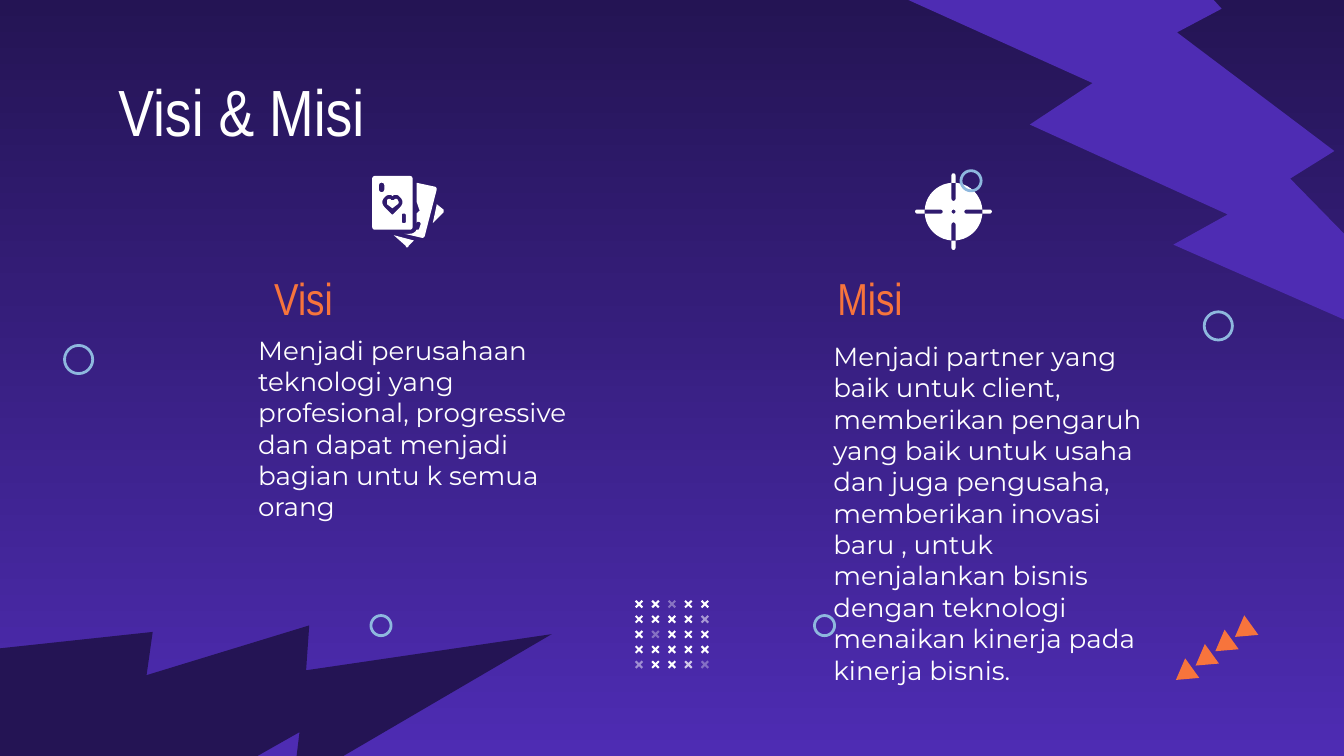
from math import cos, radians, sin

from lxml import etree
from pptx import Presentation
from pptx.dml.color import RGBColor
from pptx.enum.shapes import MSO_SHAPE
from pptx.enum.text import MSO_ANCHOR, MSO_AUTO_SIZE, PP_ALIGN
from pptx.oxml.ns import qn
from pptx.util import Inches, Pt

BOLT = MSO_SHAPE.LIGHTNING_BOLT
TRIANGLE = MSO_SHAPE.ISOSCELES_TRIANGLE
OVAL = MSO_SHAPE.OVAL
CROSS = MSO_SHAPE.CROSS
LEFT = PP_ALIGN.LEFT
TOP = MSO_ANCHOR.TOP
MIDDLE = MSO_ANCHOR.MIDDLE
NO_AUTOFIT = MSO_AUTO_SIZE.NONE

NIGHT = RGBColor(0x24, 0x14, 0x54)
VIOLET = RGBColor(0x4E, 0x2C, 0xB3)
WHITE = RGBColor(0xFF, 0xFF, 0xFF)
ORANGE = RGBColor(0xF7, 0x74, 0x3C)
SKY = RGBColor(0x8E, 0xB8, 0xDE)

HEADING_FONT = "Arial Narrow"
BODY_FONT = "Montserrat"
COMPARISON_LAYOUT = 4

VISION = ("Menjadi perusahaan teknologi yang profesional, progressive dan dapat "
          "menjadi bagian untu k semua orang")
MISSION = ("Menjadi partner yang baik untuk client, memberikan pengaruh yang baik "
           "untuk usaha dan juga pengusaha, memberikan inovasi baru , untuk "
           "menjalankan bisnis dengan teknologi menaikan kinerja pada kinerja bisnis.")

RINGS = [(2.76, 4.58, 0.15), (8.96, 2.32, 0.21), (0.48, 2.57, 0.21),
         (6.06, 4.58, 0.15), (7.15, 1.27, 0.15)]
FADED_CROSSES = {(0, 2): 36, (1, 4): 53, (2, 1): 34,
                 (4, 0): 48, (4, 3): 75, (4, 4): 33}

HEART_HOLE = [(2.92, 1.46), (2.93, 1.45, 2.94, 1.45, 2.95, 1.45),
              (2.96, 1.45, 2.97, 1.46, 2.98, 1.47), (3, 1.49, 3, 1.52, 2.98, 1.54),
              (2.93, 1.59), (2.92, 1.6, 2.92, 1.6, 2.91, 1.59), (2.86, 1.54),
              (2.84, 1.52, 2.84, 1.49, 2.86, 1.47),
              (2.87, 1.46, 2.88, 1.45, 2.9, 1.45),
              (2.91, 1.45, 2.91, 1.45, 2.92, 1.46)]
HEART = [(2.9, 1.48), (2.89, 1.48, 2.89, 1.48, 2.88, 1.49),
         (2.88, 1.5, 2.88, 1.51, 2.88, 1.52), (2.92, 1.55), (2.96, 1.52),
         (2.97, 1.51, 2.97, 1.5, 2.96, 1.49), (2.96, 1.48, 2.95, 1.48, 2.95, 1.48),
         (2.94, 1.48, 2.94, 1.48, 2.93, 1.49), (2.92, 1.49), (2.91, 1.49),
         (2.91, 1.48, 2.9, 1.48, 2.9, 1.48)]
SECOND_CARD = [(3.1, 1.36), (3.1, 1.5), (3.12, 1.56),
               (3.13, 1.56, 3.12, 1.57, 3.12, 1.57), (3.1, 1.59), (3.1, 1.66),
               (3.1, 1.65, 3.11, 1.65, 3.11, 1.65),
               (3.13, 1.65, 3.13, 1.66, 3.13, 1.67), (3.12, 1.7),
               (3.12, 1.71, 3.11, 1.71, 3.1, 1.71),
               (3.09, 1.73, 3.07, 1.74, 3.05, 1.74), (3.01, 1.74), (3.14, 1.77),
               (3.15, 1.77, 3.15, 1.77, 3.16, 1.76), (3.25, 1.41),
               (3.25, 1.4, 3.25, 1.4, 3.24, 1.39)]
RIGHT_CORNER = [(3.25, 1.52), (3.22, 1.66), (3.3, 1.58),
                (3.3, 1.57, 3.3, 1.56, 3.3, 1.56)]
LOWER_CORNER = [(2.93, 1.75), (3.02, 1.83), (3.02, 1.84, 3.02, 1.84, 3.03, 1.84),
                (3.03, 1.84, 3.04, 1.84, 3.04, 1.83), (3.08, 1.79)]


def paint_background(page):
    fill = page.background.fill
    fill.gradient()
    fill.gradient_angle = 270
    for stop, color, position in zip(fill.gradient_stops, (NIGHT, VIOLET), (0, 1)):
        stop.color.rgb = color
        stop.position = position


def write_text(box, text, at, *, size, font, color=WHITE, anchor=MIDDLE):
    box.left, box.top, box.width, box.height = map(Inches, at)
    frame = box.text_frame
    frame.auto_size = NO_AUTOFIT
    frame.word_wrap = True
    frame.vertical_anchor = anchor
    frame.margin_left = frame.margin_right = Inches(0.1)
    frame.margin_top = frame.margin_bottom = Inches(0.1)
    para = frame.paragraphs[0]
    para.alignment = LEFT
    para.space_before = Pt(0)
    properties = para._p.get_or_add_pPr()
    properties.set("marL", "0")
    properties.set("indent", "0")
    etree.SubElement(properties, qn("a:buNone"))
    span = para.add_run()
    span.text = text
    span.font.size = Pt(size)
    span.font.name = font
    span.font.bold = False
    span.font.color.rgb = color


def fill_solid(shape, color, opacity=100):
    shape.shadow.inherit = False
    shape.line.fill.background()
    shape.fill.solid()
    shape.fill.fore_color.rgb = color
    if opacity < 100:
        tint = shape._element.spPr.find(".//" + qn("a:srgbClr"))
        etree.SubElement(tint, qn("a:alpha")).set("val", str(opacity * 1000))


def add_preset(shapes, kind, at, color, rotation=0, opacity=100):
    shape = shapes.add_shape(kind, *map(Inches, at))
    shape.rotation = rotation
    fill_solid(shape, color, opacity)
    return shape


def add_ring(shapes, left, top, size):
    ring = shapes.add_shape(OVAL, *map(Inches, (left, top, size, size)))
    ring.shadow.inherit = False
    ring.fill.background()
    ring.line.color.rgb = SKY
    ring.line.width = Pt(1.5)


def arc(center, radius, start, end, steps=10):
    angles = [radians(start + (end - start) * i / steps) for i in range(steps + 1)]
    return [(center[0] + radius * cos(a), center[1] + radius * sin(a)) for a in angles]


def rounded(left, top, right, bottom, radius):
    centers = [(right - radius, bottom - radius), (left + radius, bottom - radius),
               (left + radius, top + radius), (right - radius, top + radius)]
    return [point for quarter, center in enumerate(centers)
            for point in arc(center, radius, quarter * 90, quarter * 90 + 90)]


def flatten(contour, steps=6):
    points = [contour[0]]
    for step in contour[1:]:
        if len(step) == 2:
            points.append(step)
            continue
        knots = [points[-1], step[:2], step[2:4], step[4:]]
        for t in (i / steps for i in range(1, steps + 1)):
            weights = ((1 - t) ** 3, 3 * t * (1 - t) ** 2, 3 * t * t * (1 - t), t ** 3)
            points.append(tuple(sum(w * knot[axis] for w, knot in zip(weights, knots))
                                for axis in (0, 1)))
    return points


def add_outline(shapes, *contours):
    builder = None
    for contour in contours:
        points = [(Inches(x), Inches(y)) for x, y in flatten(contour)]
        if builder is None:
            builder = shapes.build_freeform(*points[0])
        else:
            builder.move_to(*points[0])
        builder.add_line_segments(points[1:], close=True)
    fill_solid(builder.convert_to_shape(), WHITE)


def turn(points, center, angle):
    c, s = cos(radians(angle)), sin(radians(angle))
    return [(center[0] + x * c - y * s, center[1] + x * s + y * c) for x, y in points]


def add_crosshair(page):
    shapes = page.shapes.add_group_shape().shapes
    radius, half = 0.43 / 2, 0.03 / 2
    center = (6.88 + radius, 1.36 + radius)
    slot = arc((0.08 + half, 0), half, 270, 90)
    quarter = arc((0, 0), radius, 4, 86) + turn(slot, (0, 0), 90)
    angles = range(0, 360, 90)
    disc = [point for angle in angles for point in turn(quarter, center, angle)]
    add_outline(shapes, disc, arc(center, half, 0, 360))
    tip = arc((radius + 0.07 - half, 0), half, -90, 90)
    arm = [(radius, -half)] + tip + [(radius, half)]
    for angle in angles:
        add_outline(shapes, turn(arm, center, angle))


def add_cards(page):
    shapes = page.shapes.add_group_shape().shapes
    add_outline(shapes, RIGHT_CORNER)
    add_outline(shapes, LOWER_CORNER)
    add_outline(shapes, HEART)
    add_outline(shapes, rounded(2.77, 1.31, 3.07, 1.71, 0.02),
                rounded(2.82, 1.36, 2.86, 1.43, 0.02), HEART_HOLE,
                rounded(2.99, 1.59, 3.02, 1.66, 0.01))
    add_outline(shapes, SECOND_CARD)


def add_cross_grid(page):
    shapes = page.shapes.add_group_shape().shapes
    for row in range(5):
        for column in range(5):
            at = (4.72 + column * 0.49 / 4, 4.46 + row * 0.45 / 4, 0.07, 0.07)
            cross = add_preset(shapes, CROSS, at, WHITE, 315,
                               FADED_CROSSES.get((row, column), 100))
            cross.adjustments[0] = 0.39


def main():
    deck = Presentation()
    deck.slide_width, deck.slide_height = Inches(10), Inches(10 * 9 / 16)
    page = deck.slides.add_slide(deck.slide_layouts[COMPARISON_LAYOUT])
    paint_background(page)

    bolts = [((6.71, -1.07, 4.17, 4.17), VIOLET, 353.7),
             ((-0.15, 3.59, 3.6, 3.6), NIGHT, 299.7)]
    for order, (at, color, rotation) in enumerate(bolts):
        bolt = add_preset(page.shapes, BOLT, at, color, rotation)
        page.shapes._spTree.insert(2 + order, bolt._element)

    title, vision_head, vision, mission_head, mission = page.placeholders
    write_text(title, "Visi & Misi", (0.78, 0.43, 8.43, 0.64),
               size=35, font=HEADING_FONT, anchor=TOP)
    for box, text, left in ((vision_head, "Visi", 1.94), (mission_head, "Misi", 6.13)):
        write_text(box, text, (left, 1.94, 2.13, 0.55),
                   size=24, font=HEADING_FONT, color=ORANGE)
    for box, text, left, top in ((vision, VISION, 1.82, 2.71),
                                 (mission, MISSION, 6.1, 3.34)):
        write_text(box, text, (left, top, 2.61, 0.95), size=14, font=BODY_FONT)

    add_crosshair(page)
    for i in range(4):
        at = (9.16 - i * 0.44 / 3, 4.62 + i * 0.32 / 3, 0.18, 0.15)
        add_preset(page.shapes, TRIANGLE, at, ORANGE, 234.2)
    for ring in RINGS:
        add_ring(page.shapes, *ring)
    add_cross_grid(page)
    add_cards(page)
    deck.save("out.pptx")


if __name__ == "__main__":
    main()
